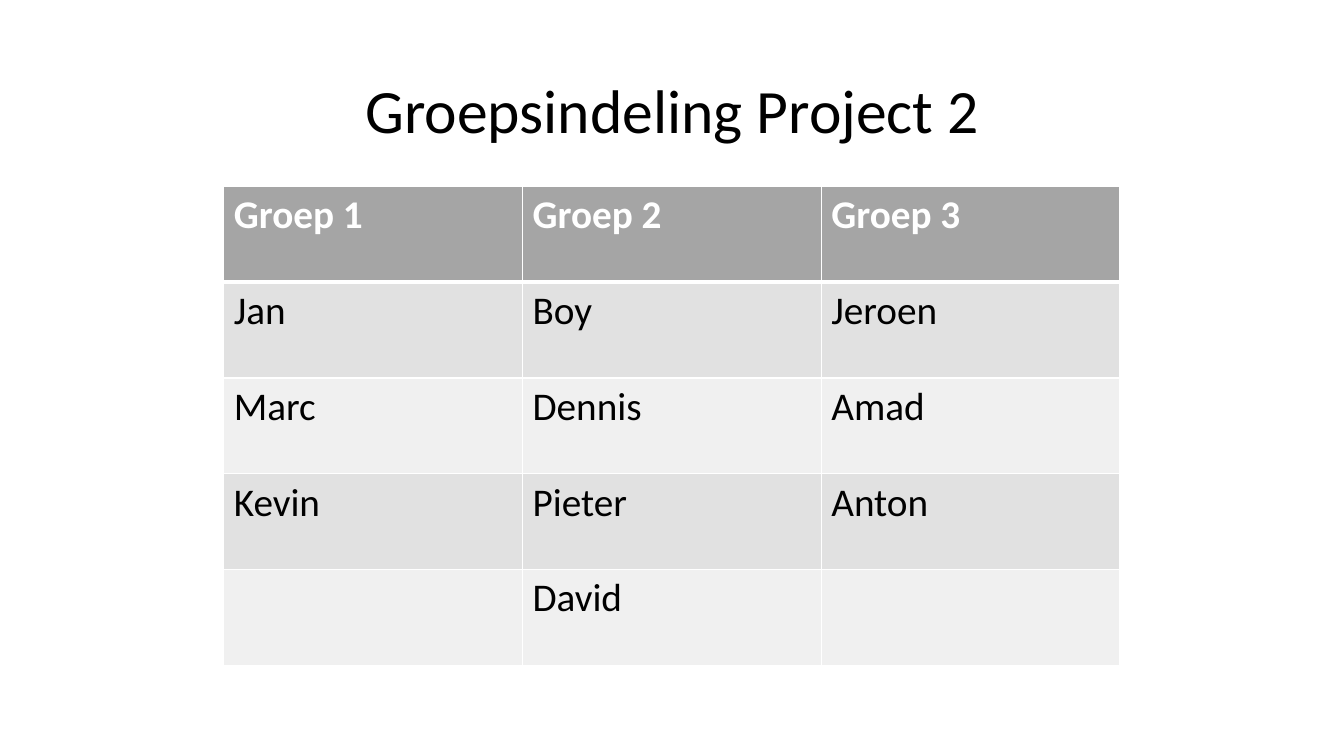
from dataclasses import dataclass

from lxml.etree import SubElement
from pptx import Presentation
from pptx.dml.color import RGBColor
from pptx.enum.text import MSO_ANCHOR, PP_ALIGN
from pptx.oxml.ns import qn
from pptx.table import _Cell
from pptx.text.text import _Paragraph
from pptx.util import Inches, Pt

FONT = "Calibri"
BLACK, WHITE = "000000", "FFFFFF"
HEADER_FILL = "A5A5A5"
BAND_FILLS = ("E1E1E1", "F0F0F0")
THIN, THICK = 1, 3


@dataclass(frozen=True)
class Group:
    name: str
    members: tuple[str, ...]


@dataclass(frozen=True)
class RowStyle:
    fill: str
    text_color: str
    bold: bool
    top: float
    bottom: float


GROUPS = (
    Group("Groep 1", ("Jan", "Marc", "Kevin")),
    Group("Groep 2", ("Boy", "Dennis", "Pieter", "David")),
    Group("Groep 3", ("Jeroen", "Amad", "Anton")),
)


def color(value: str) -> RGBColor:
    return RGBColor.from_string(value)


def add_run(paragraph: _Paragraph, text: str, size: float, text_color: str,
            bold: bool = False) -> None:
    run = paragraph.add_run()
    run.text = text
    run.font.name = FONT
    run.font.size = Pt(size)
    run.font.bold = bold
    run.font.color.rgb = color(text_color)


def add_border(cell: _Cell, side: str, width: float) -> None:
    properties = cell._tc.get_or_add_tcPr()
    line = SubElement(properties, qn(f"a:ln{side}"), w=str(Pt(width)))
    fill = SubElement(line, qn("a:solidFill"))
    SubElement(fill, qn("a:srgbClr"), val=WHITE)


def draw_cell(cell: _Cell, text: str, style: RowStyle) -> None:
    borders = {"L": THIN, "R": THIN, "T": style.top, "B": style.bottom}
    for side, width in borders.items():
        add_border(cell, side, width)
    cell.fill.solid()
    cell.fill.fore_color.rgb = color(style.fill)
    if text:
        add_run(cell.text_frame.paragraphs[0], text, 28, style.text_color, style.bold)


def row_style(row: int) -> RowStyle:
    if row == 0:
        return RowStyle(HEADER_FILL, WHITE, True, THIN, THICK)
    band = BAND_FILLS[(row - 1) % len(BAND_FILLS)]
    return RowStyle(band, BLACK, False, THICK if row == 1 else THIN, THIN)


def main() -> None:
    presentation = Presentation()
    presentation.slide_width = Inches(13.33)
    presentation.slide_height = Inches(7.5)
    slide = presentation.slides.add_slide(presentation.slide_layouts[6])

    # Title
    title = slide.shapes.add_textbox(
        Inches(0.92), Inches(0.4), Inches(11.5), Inches(1.45)).text_frame
    title.word_wrap = True
    title.vertical_anchor = MSO_ANCHOR.MIDDLE
    heading = title.paragraphs[0]
    heading.alignment = PP_ALIGN.CENTER
    heading.line_spacing = 0.9
    add_run(heading, "Groepsindeling Project 2", 44, BLACK)

    # Group table: one column per group, one row per member
    row_count = 1 + max(len(group.members) for group in GROUPS)
    division = slide.shapes.add_table(
        row_count, len(GROUPS),
        Inches(2.22), Inches(1.85), Inches(8.89), Inches(4.75)).table
    for column, group in enumerate(GROUPS):
        entries = (group.name, *group.members)
        for row in range(row_count):
            text = entries[row] if row < len(entries) else ""
            draw_cell(division.cell(row, column), text, row_style(row))

    presentation.save("out.pptx")


if __name__ == "__main__":
    main()
